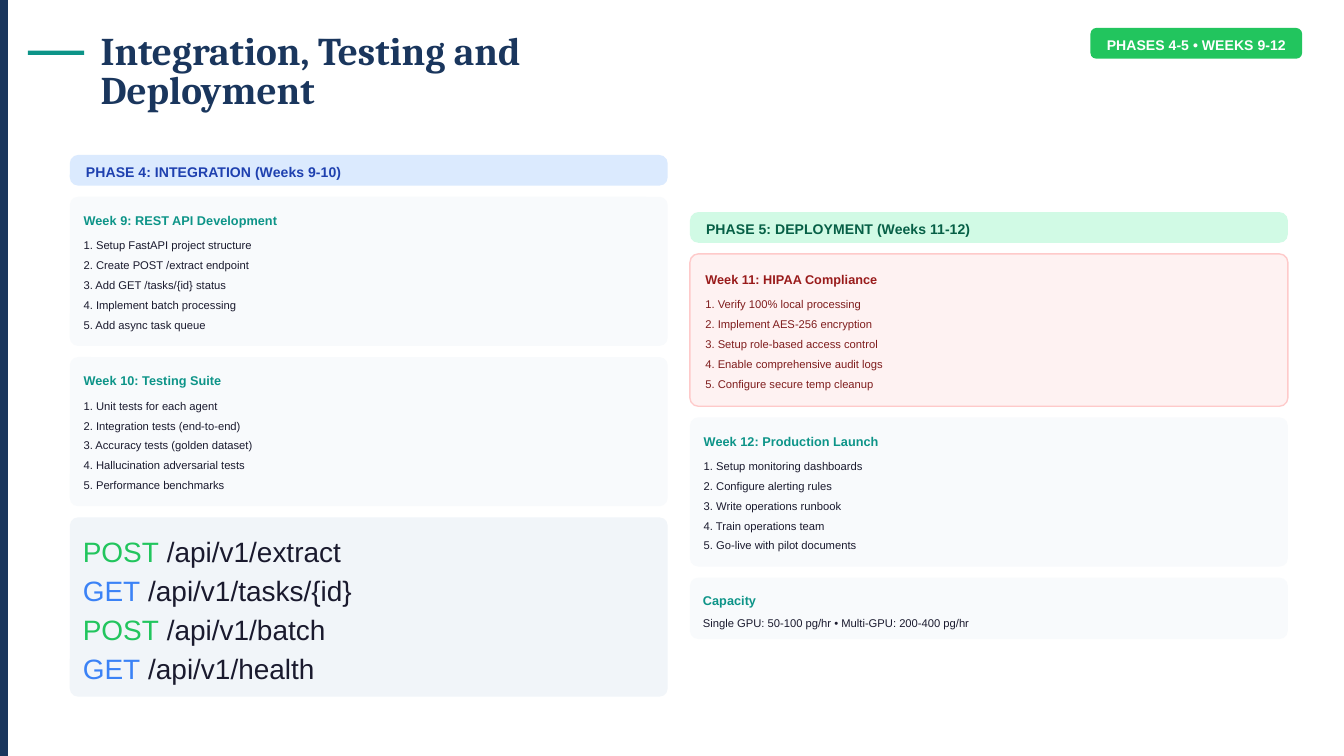
from lxml.etree import SubElement
from pptx import Presentation
from pptx.dml.color import RGBColor
from pptx.enum.shapes import MSO_SHAPE
from pptx.enum.text import MSO_ANCHOR as Anchor, MSO_AUTO_SIZE as AutoSize, PP_ALIGN as Align
from pptx.oxml.ns import qn
from pptx.util import Cm, Pt

NAVY = RGBColor(0x1A, 0x36, 0x5D)
TEAL = RGBColor(0x0D, 0x94, 0x88)
GREEN = RGBColor(0x22, 0xC5, 0x5E)
BLUE = RGBColor(0x3B, 0x82, 0xF6)
WHITE = RGBColor(0xFF, 0xFF, 0xFF)
INK = RGBColor(0x1A, 0x1A, 0x2E)
CARD = RGBColor(0xF8, 0xFA, 0xFC)
PANEL = RGBColor(0xF1, 0xF5, 0xF9)
SKY = RGBColor(0xDB, 0xEA, 0xFE)
SKY_TEXT = RGBColor(0x1E, 0x40, 0xAF)
MINT = RGBColor(0xD1, 0xFA, 0xE5)
MINT_TEXT = RGBColor(0x06, 0x5F, 0x46)
ROSE = RGBColor(0xFE, 0xF2, 0xF2)
ROSE_LINE = RGBColor(0xFE, 0xCA, 0xCA)
ROSE_HEAD = RGBColor(0x99, 0x1B, 0x1B)
ROSE_TEXT = RGBColor(0x7F, 0x1D, 0x1D)

# Layout in centimetres
LEFT_COLUMN, RIGHT_COLUMN, COLUMN_WIDTH = 1.32, 13.04, 11.3
HEADER_HEIGHT, CARD_HEIGHT, GAP = 0.58, 2.82, 0.21

WEEK_9 = ("Week 9: REST API Development",
          ["Setup FastAPI project structure", "Create POST /extract endpoint",
           "Add GET /tasks/{id} status", "Implement batch processing",
           "Add async task queue"])
WEEK_10 = ("Week 10: Testing Suite",
           ["Unit tests for each agent", "Integration tests (end-to-end)",
            "Accuracy tests (golden dataset)", "Hallucination adversarial tests",
            "Performance benchmarks"])
WEEK_11 = ("Week 11: HIPAA Compliance",
           ["Verify 100% local processing", "Implement AES-256 encryption",
            "Setup role-based access control", "Enable comprehensive audit logs",
            "Configure secure temp cleanup"])
WEEK_12 = ("Week 12: Production Launch",
           ["Setup monitoring dashboards", "Configure alerting rules",
            "Write operations runbook", "Train operations team",
            "Go-live with pilot documents"])
ENDPOINTS = [("POST", "/api/v1/extract"), ("GET", "/api/v1/tasks/{id}"),
             ("POST", "/api/v1/batch"), ("GET", "/api/v1/health")]
METHOD_COLORS = {"POST": GREEN, "GET": BLUE}


def format_run(run, size, color, bold=False, font="Arial"):
    run.font.name = font
    run.font.size = Pt(size)
    run.font.bold = bold
    run.font.color.rgb = color


def format_paragraph(paragraph, line, after=0, align=Align.LEFT):
    paragraph.alignment = align
    paragraph.line_spacing = Pt(line)
    paragraph.space_before = Pt(0)
    paragraph.space_after = Pt(after)


def prepare_frame(frame, inset=0, anchor=Anchor.TOP):
    frame.word_wrap = True
    frame.auto_size = AutoSize.NONE
    frame.vertical_anchor = anchor
    frame.margin_left = frame.margin_right = Cm(inset)
    frame.margin_top = frame.margin_bottom = 0


def remove_bullet(paragraph):
    properties = paragraph._p.get_or_add_pPr()
    properties.set("marL", "0")
    properties.set("indent", "0")
    SubElement(properties, qn("a:buNone"))


def add_box(slide, left, top, width, height, fill, radius=0.0, line=None):
    kind = MSO_SHAPE.ROUNDED_RECTANGLE if radius else MSO_SHAPE.RECTANGLE
    shape = slide.shapes.add_shape(kind, Cm(left), Cm(top), Cm(width), Cm(height))
    if radius:
        shape.adjustments[0] = radius / height
    shape.shadow.inherit = False
    shape.fill.solid()
    shape.fill.fore_color.rgb = fill
    if line is None:
        shape.line.fill.background()
    else:
        shape.line.color.rgb = line
        shape.line.width = Pt(0.75)
    return shape


def add_column_box(slide, left, top, height, fill, line=None):
    return add_box(slide, left, top, COLUMN_WIDTH, height, fill, 0.16, line)


def add_label(shape, text, color, align=Align.LEFT):
    prepare_frame(shape.text_frame, 0.26, Anchor.MIDDLE)
    shape.text_frame.text = text
    paragraph = shape.text_frame.paragraphs[0]
    format_paragraph(paragraph, 10.5, align=align)
    format_run(paragraph.runs[0], 7.5, color, bold=True)


def add_heading_and_lines(frame, heading, lines, head_color, text_color, after):
    frame.text = "\n".join([heading, *lines])
    first, *others = frame.paragraphs
    format_paragraph(first, 9.4, after)
    format_run(first.runs[0], 6.8, head_color, bold=True)
    for paragraph in others:
        format_paragraph(paragraph, 8.4, 2.25)
        format_run(paragraph.runs[0], 6, text_color)


def place(slide, placeholder, left, top, width, height):
    """Position a placeholder and bring it in front of the shapes drawn so far."""
    placeholder.left, placeholder.top = Cm(left), Cm(top)
    placeholder.width, placeholder.height = Cm(width), Cm(height)
    slide.shapes._spTree.append(placeholder._element)
    prepare_frame(placeholder.text_frame)


def add_week(slide, index, left, top, week, height=CARD_HEIGHT, inset=0.26,
             colors=(CARD, None, TEAL, INK)):
    fill, line, head_color, text_color = colors
    heading, tasks = week
    add_column_box(slide, left, top, height, fill, line)
    body = slide.placeholders[index]
    place(slide, body, left + inset, top + inset, COLUMN_WIDTH - 2 * inset, height - 2 * inset)
    numbered = [f"{number}. {task}" for number, task in enumerate(tasks, 1)]
    add_heading_and_lines(body.text_frame, heading, numbered, head_color, text_color, 4.5)
    for paragraph in body.text_frame.paragraphs:
        remove_bullet(paragraph)


def add_endpoints(slide, left, top):
    frame = add_column_box(slide, left, top, 3.39, PANEL).text_frame
    prepare_frame(frame, 0.2, Anchor.MIDDLE)
    for number, (method, address) in enumerate(ENDPOINTS):
        paragraph = frame.add_paragraph() if number else frame.paragraphs[0]
        format_paragraph(paragraph, 21)
        for text, color in ((method, METHOD_COLORS[method]), (f" {address}", INK)):
            run = paragraph.add_run()
            run.text = text
            format_run(run, 15, color)


def add_capacity(slide, left, top):
    frame = add_column_box(slide, left, top, 1.16, CARD).text_frame
    prepare_frame(frame, 0.2)
    frame.margin_top = Cm(0.2)
    add_heading_and_lines(frame, "Capacity",
                          ["Single GPU: 50-100 pg/hr • Multi-GPU: 200-400 pg/hr"],
                          TEAL, INK, 3)


def add_title(slide, text):
    title = slide.shapes.title
    place(slide, title, 1.9, 0.64, 11.84, 1.5)
    title.text_frame.text = text
    paragraph = title.text_frame.paragraphs[0]
    format_paragraph(paragraph, 21)
    format_run(paragraph.runs[0], 21, NAVY, bold=True, font="Cambria")


def main():
    presentation = Presentation()
    presentation.slide_width, presentation.slide_height = Cm(25.4), Cm(14.29)
    # The comparison layout has a title and four bodies, one for each week
    slide = presentation.slides.add_slide(presentation.slide_layouts[4])

    # Side bar, title and badge
    add_box(slide, 0, 0, 0.15, 14.29, NAVY)
    add_box(slide, 0.53, 0.96, 1.06, 0.08, TEAL)
    add_title(slide, "Integration, Testing and Deployment")
    badge = add_box(slide, 20.61, 0.53, 4, 0.58, GREEN, 0.11)
    add_label(badge, "PHASES 4-5 • WEEKS 9-12", WHITE, Align.CENTER)

    # Left column: phase 4
    top = 2.93
    header = add_column_box(slide, LEFT_COLUMN, top, HEADER_HEIGHT, SKY)
    add_label(header, "PHASE 4: INTEGRATION (Weeks 9-10)", SKY_TEXT)
    top += HEADER_HEIGHT + GAP
    for index, week in enumerate((WEEK_9, WEEK_10), 1):
        add_week(slide, index, LEFT_COLUMN, top, week)
        top += CARD_HEIGHT + GAP
    add_endpoints(slide, LEFT_COLUMN, top)

    # Right column: phase 5
    top = 4.01
    header = add_column_box(slide, RIGHT_COLUMN, top, HEADER_HEIGHT, MINT)
    add_label(header, "PHASE 5: DEPLOYMENT (Weeks 11-12)", MINT_TEXT)
    top += HEADER_HEIGHT + GAP
    compliance_height = 2.88
    add_week(slide, 3, RIGHT_COLUMN, top, WEEK_11, compliance_height, 0.29,
             (ROSE, ROSE_LINE, ROSE_HEAD, ROSE_TEXT))
    top += compliance_height + GAP
    add_week(slide, 4, RIGHT_COLUMN, top, WEEK_12)
    add_capacity(slide, RIGHT_COLUMN, top + CARD_HEIGHT + GAP)

    presentation.save("out.pptx")


if __name__ == "__main__":
    main()
